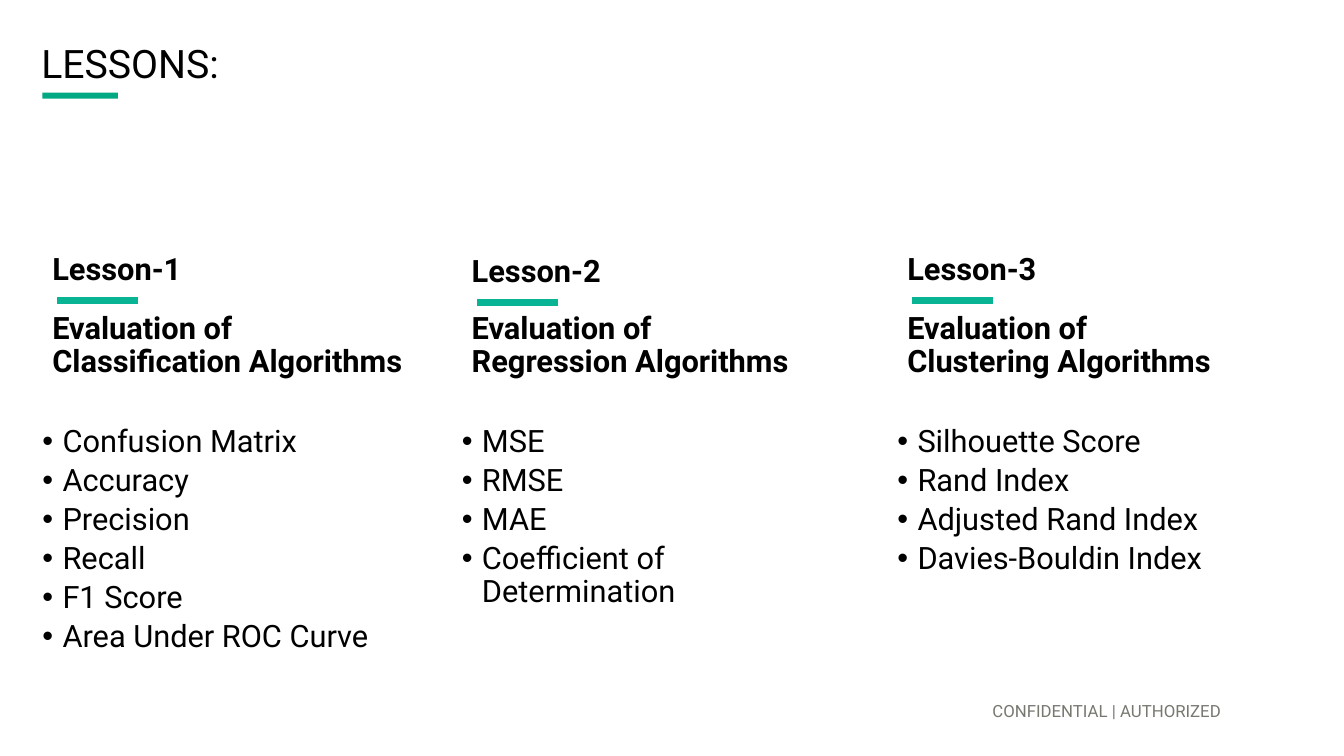
from lxml.etree import SubElement as Sub
from pptx import Presentation
from pptx.dml.color import RGBColor
from pptx.enum.shapes import MSO_CONNECTOR as Link, MSO_SHAPE as Shape
from pptx.enum.text import MSO_ANCHOR as Anchor, MSO_AUTO_SIZE as Fit, PP_ALIGN as Align
from pptx.oxml.ns import qn
from pptx.util import Inches, Pt

BLACK = RGBColor(0x00, 0x00, 0x00)
GRAY = RGBColor(0x78, 0x78, 0x71)
GREEN = RGBColor(0x01, 0xA9, 0x82)
MINT = RGBColor(0x08, 0xB4, 0x93)

# Rows of the grid, in inches
NAME, RULE, TOPIC, LIST = 2.42, 2.98, 3.0, 4.13
HEAD_W, LIST_W = 4.08, 3.97

PLAIN = dict(name="Roboto", size=Pt(22), bold=False, color=BLACK)
BOLD = {**PLAIN, "bold": True}
TITLE = {**PLAIN, "size": Pt(28)}
SMALL = {**PLAIN, "size": Pt(12), "color": GRAY}

# Left edge, drop of the heading, topic, measures
LESSONS = [
    (0.42, 0, "Classification Algorithms",
     ["Confusion Matrix", "Accuracy", "Precision", "Recall", "F1 Score",
      "Area Under ROC Curve"]),
    (4.58, 0.02, "Regression Algorithms",
     ["MSE", "RMSE", "MAE", "Coefficient of Determination"]),
    (8.9, 0, "Clustering Algorithms",
     ["Silhouette Score", "Rand Index", "Adjusted Rand Index",
      "Davies-Bouldin Index"]),
]


def place(shape, *box):
    for key, val in zip(("left", "top", "width", "height"), box):
        setattr(shape, key, Inches(val))


def style(font, form):
    for key, val in form.items():
        if key == "color":
            font.color.rgb = val
        else:
            setattr(font, key, val)


def add_dot(para):
    """Give a paragraph a hanging round bullet."""
    props = para._p.get_or_add_pPr()
    props.set("marL", str(Inches(0.2)))
    props.set("indent", str(-Inches(0.2)))
    Sub(props, qn("a:buFont"), typeface="Arial")
    Sub(props, qn("a:buChar"), char="•")


def write(shape, lines, form, side=0.1, edge=0.1, anchor=Anchor.TOP,
          align=Align.LEFT, dots=False):
    """Fill a shape with one paragraph per line."""
    frame = shape.text_frame
    frame.text = "\n".join(lines)
    layout = dict(word_wrap=True, auto_size=Fit.NONE, vertical_anchor=anchor,
                  margin_left=Inches(side), margin_right=Inches(side),
                  margin_top=Inches(edge), margin_bottom=Inches(edge))
    for key, val in layout.items():
        setattr(frame, key, val)
    for num, para in enumerate(frame.paragraphs):
        if dots:
            add_dot(para)
        para.alignment = align
        para.line_spacing = 0.9
        para.space_before = Pt(4 if dots and num else 0)
        for run in para.runs:
            style(run.font, form)


def add_text(slide, box, lines, form, **opts):
    shape = slide.shapes.add_textbox(0, 0, 0, 0)
    place(shape, *box)
    write(shape, lines, form, **opts)


def add_rule(slide, left, top):
    ends = [Inches(val) for val in (left, top, left + 0.8, top)]
    rule = slide.shapes.add_connector(Link.STRAIGHT, *ends)
    rule.line.color.rgb = MINT
    rule.line.width = Pt(4.5)
    Sub(rule._element.spPr, qn("a:effectLst"))


def add_bar(slide, *box):
    bar = slide.shapes.add_shape(Shape.RECTANGLE, 0, 0, 0, 0)
    place(bar, *box)
    bar.shadow.inherit = False
    bar.line.fill.background()
    bar.fill.solid()
    bar.fill.fore_color.rgb = GREEN


def add_lesson(slide, body, num, left, drop, topic, items):
    add_text(slide, (left, NAME + drop, HEAD_W, 0.42), [f"Lesson-{num}"], BOLD)
    add_rule(slide, left + 0.15, RULE + drop)
    add_text(slide, (left, TOPIC, HEAD_W, 0.42), ["Evaluation of", topic], BOLD)
    place(body, left, LIST, LIST_W, 2.6)
    write(body, items, PLAIN, side=0, dots=True)


def main():
    deck = Presentation()
    deck.slide_width, deck.slide_height = Inches(13.33), Inches(7.5)
    slide = deck.slides.add_slide(deck.slide_layouts[4])
    title, *bodies = slide.placeholders

    add_bar(slide, 0.42, 0.92, 0.75, 0.06)
    place(title, 0.31, 0.43, 12.57, 0.44)
    write(title, ["LESSONS:"], TITLE, anchor=Anchor.MIDDLE)
    for num, (body, lesson) in enumerate(zip(bodies, LESSONS), 1):
        add_lesson(slide, body, num, *lesson)
    for spare in bodies[len(LESSONS):]:
        spare._element.getparent().remove(spare._element)
    add_text(slide, (4.07, 6.7, 8.14, 0.45), ["CONFIDENTIAL | AUTHORIZED"], SMALL,
             edge=0, anchor=Anchor.BOTTOM, align=Align.RIGHT)
    deck.save("out.pptx")


if __name__ == "__main__":
    main()
